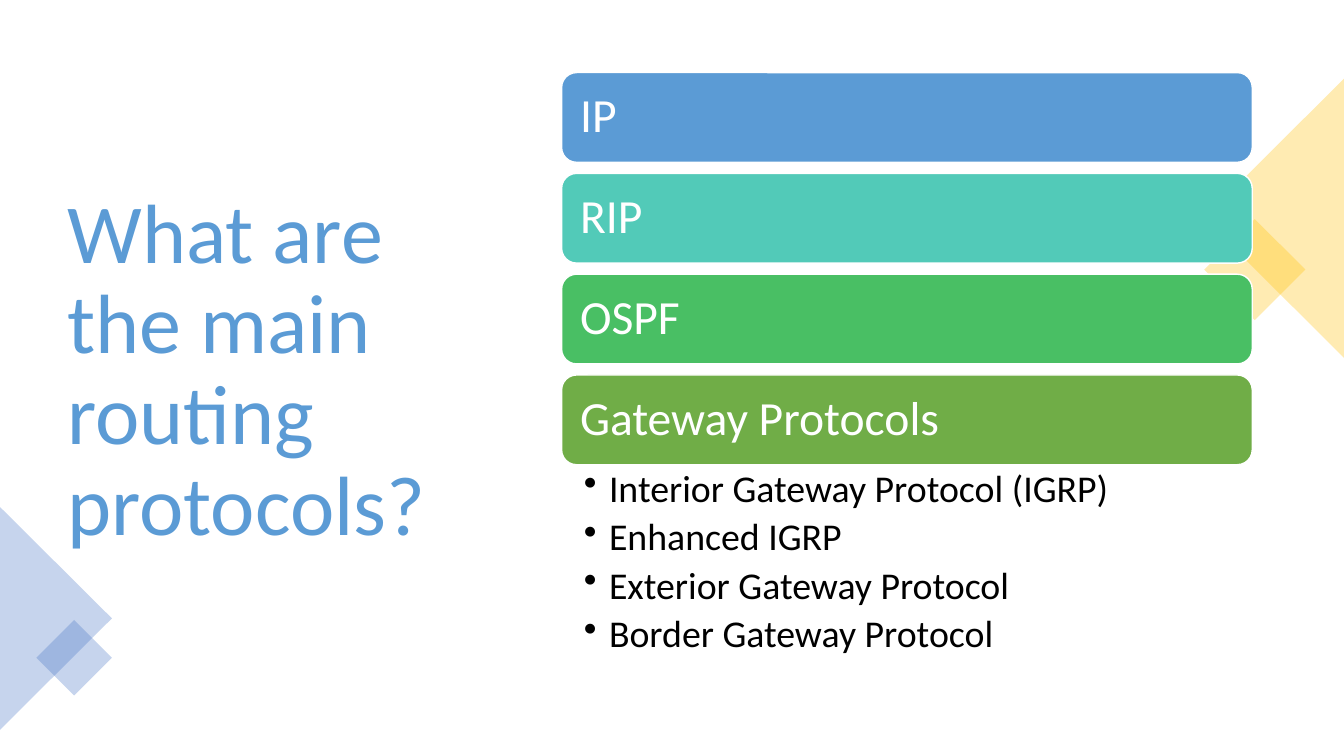
from dataclasses import dataclass

from lxml.etree import SubElement
from pptx import Presentation
from pptx.dml.color import RGBColor
from pptx.enum.shapes import MSO_SHAPE
from pptx.enum.text import MSO_ANCHOR, PP_ALIGN
from pptx.oxml.ns import qn
from pptx.util import Inches, Pt


@dataclass(frozen=True)
class Theme:
    """Colours, font and type sizes of the slide."""
    font: str = "Calibri"
    title: str = "5B9BD5"
    white: str = "FFFFFF"
    black: str = "000000"
    gold: str = "FFC000"
    blue: str = "4472C4"
    title_size: int = 60
    bar_size: int = 34
    bullet_size: int = 27
    decor_opacity: int = 30


THEME = Theme()
BAR_LEFT, BAR_TOP, BAR_WIDTH, BAR_HEIGHT, BAR_PITCH = 5.57, 0.72, 6.85, 0.89, 1.0
PROTOCOLS = [
    ("IP", "5B9BD5"),
    ("RIP", "52CAB8"),
    ("OSPF", "49BF64"),
    ("Gateway Protocols", "70AD47"),
]
GATEWAY_PROTOCOLS = [
    "Interior Gateway Protocol (IGRP)",
    "Enhanced IGRP",
    "Exterior Gateway Protocol",
    "Border Gateway Protocol",
]
DECORATIONS = [
    (MSO_SHAPE.RECTANGLE, (12.09, 2.32, 0.71, 0.71), 45, THEME.gold),
    (MSO_SHAPE.ISOSCELES_TRIANGLE, (11.25, 1.47, 2.77, 1.39), 270, THEME.gold),
    (MSO_SHAPE.ISOSCELES_TRIANGLE, (-0.55, 5.58, 2.21, 1.11), 90, THEME.blue),
    (MSO_SHAPE.RECTANGLE, (0.47, 6.26, 0.53, 0.53), 45, THEME.blue),
]


def add_filled_shape(slide, kind, box, color):
    """Add a preset shape with a solid fill and no shadow."""
    shape = slide.shapes.add_shape(kind, *map(Inches, box))
    shape.shadow.inherit = False
    shape.fill.solid()
    shape.fill.fore_color.rgb = RGBColor.from_string(color)
    return shape


def add_decoration(slide, kind, box, rotation, color):
    """Add a translucent, rotated corner ornament."""
    ornament = add_filled_shape(slide, kind, box, color)
    ornament.line.fill.background()
    ornament.rotation = rotation
    rgb = ornament.fill._xPr.find(f".//{qn('a:srgbClr')}")
    SubElement(rgb, qn("a:alpha"), val=str(THEME.decor_opacity * 1000))


def set_frame(frame, anchor, insets):
    """Set wrapping, anchor and left, top, right and bottom insets."""
    frame.word_wrap = True
    frame.vertical_anchor = anchor
    (frame.margin_left, frame.margin_top,
     frame.margin_right, frame.margin_bottom) = map(Inches, insets)


def write_paragraph(paragraph, text, size, color):
    """Write one left-aligned paragraph in the theme font."""
    paragraph.text = text
    paragraph.alignment = PP_ALIGN.LEFT
    paragraph.line_spacing = 0.9
    paragraph.font.name = THEME.font
    paragraph.font.size = Pt(size)
    paragraph.font.color.rgb = RGBColor.from_string(color)


def add_title(slide, text):
    """Add the large question on the left."""
    title = slide.shapes.add_textbox(*map(Inches, (0.57, 0.68, 4.16, 6.02)))
    set_frame(title.text_frame, MSO_ANCHOR.MIDDLE, (0.1, 0.05, 0.1, 0.05))
    write_paragraph(title.text_frame.paragraphs[0], text, THEME.title_size, THEME.title)


def add_protocol_bar(slide, top, name, color):
    """Add a rounded bar that carries a protocol name."""
    box = (BAR_LEFT, top, BAR_WIDTH, BAR_HEIGHT)
    bar = add_filled_shape(slide, MSO_SHAPE.ROUNDED_RECTANGLE, box, color)
    bar.line.color.rgb = RGBColor.from_string(THEME.white)
    bar.line.width = Pt(1)
    set_frame(bar.text_frame, MSO_ANCHOR.MIDDLE, (0.14, 0.14, 0.14, 0.14))
    write_paragraph(bar.text_frame.paragraphs[0], name, THEME.bar_size, THEME.white)


def add_bullets(slide, top, items):
    """Add the bulleted list under the last bar."""
    box = (BAR_LEFT, top, BAR_WIDTH, 2.04)
    frame = slide.shapes.add_textbox(*map(Inches, box)).text_frame
    set_frame(frame, MSO_ANCHOR.TOP, (0.22, 0.05, 0.26, 0.05))
    for index, item in enumerate(items):
        paragraph = frame.add_paragraph() if index else frame.paragraphs[0]
        write_paragraph(paragraph, item, THEME.bullet_size, THEME.black)
        paragraph.space_after = Pt(THEME.bullet_size * 0.2)
        properties = paragraph._p.get_or_add_pPr()
        properties.set("marL", str(Inches(0.25)))
        properties.set("indent", str(Inches(-0.25)))
        bullet = properties.makeelement(qn("a:buChar"), {"char": "•"})
        properties.insert_element_before(bullet, "a:tabLst", "a:defRPr", "a:extLst")


def main():
    """Build the routing protocols slide and save it."""
    deck = Presentation()
    deck.slide_width, deck.slide_height = Inches(13.33), Inches(7.5)
    slide = deck.slides.add_slide(deck.slide_layouts[6])
    for decoration in DECORATIONS:
        add_decoration(slide, *decoration)
    add_title(slide, "What are the main routing protocols?")
    for index, (name, color) in enumerate(PROTOCOLS):
        add_protocol_bar(slide, BAR_TOP + index * BAR_PITCH, name, color)
    list_top = BAR_TOP + (len(PROTOCOLS) - 1) * BAR_PITCH + BAR_HEIGHT
    add_bullets(slide, list_top, GATEWAY_PROTOCOLS)
    deck.save("out.pptx")


if __name__ == "__main__":
    main()
